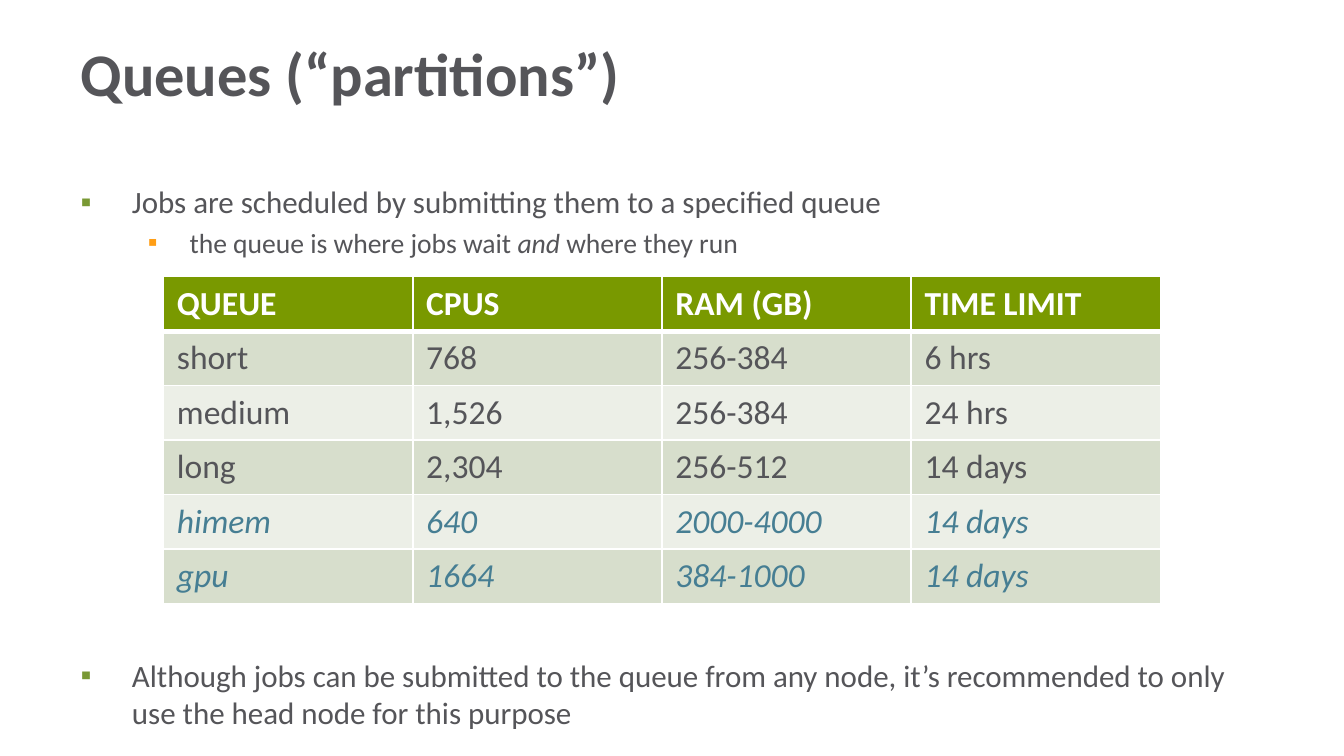
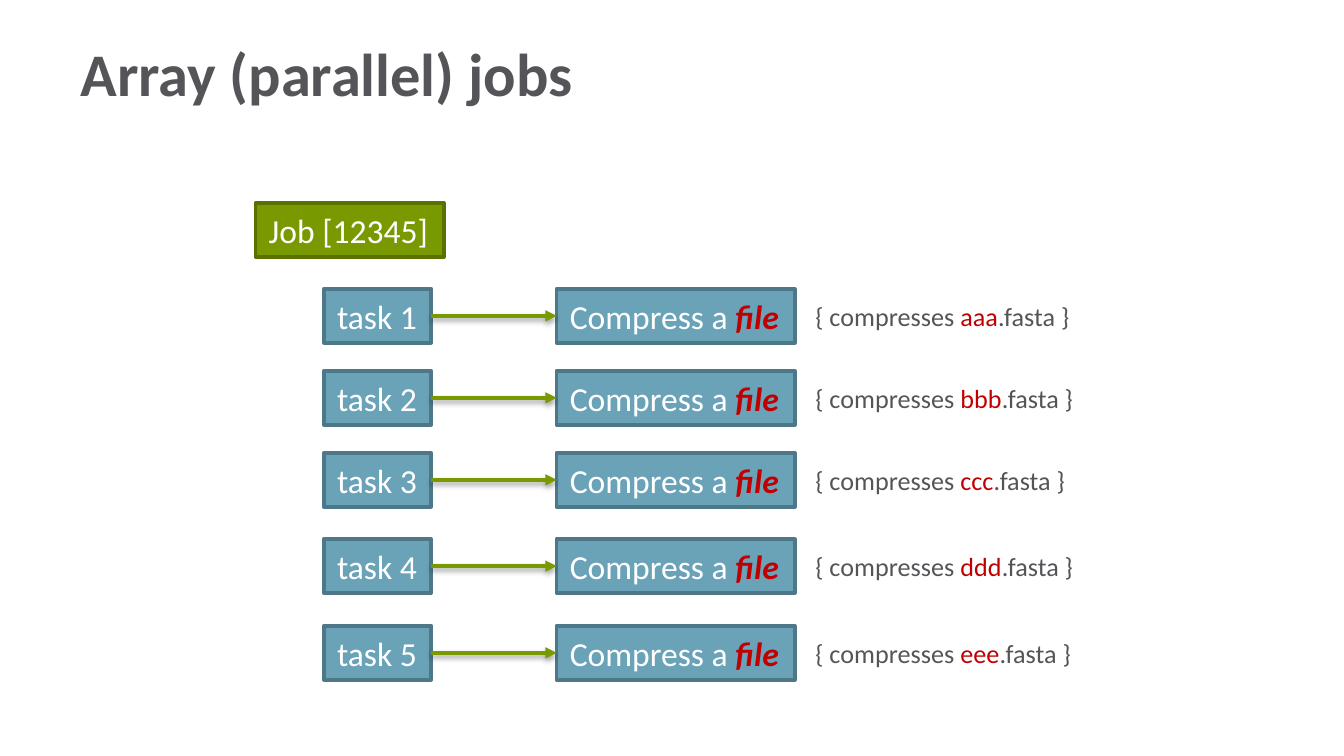
from lxml import etree
from pptx import Presentation
from pptx.dml.color import RGBColor
from pptx.enum import shapes as sh, text as tx
from pptx.oxml import ns
from pptx.util import Cm, Pt

GREY, GREEN, BLUE, RED, WHITE = "555559", "799900", "6AA2B8", "C00000", "FFFFFF"
FONT = "Calibri"
rgb = RGBColor.from_string


def write(par, parts, size, color, bold=None, ital=None):
    """Fill a paragraph; a part is text or (text, color, bold, italic)."""
    for part in parts:
        run = par.add_run()
        if isinstance(part, str):
            run.text = part
        else:
            run.text, tint, run.font.bold, run.font.italic = part
            run.font.color.rgb = rgb(tint)
    font = par.font
    font.name, font.size, font.bold, font.italic = FONT, Pt(size), bold, ital
    font.color.rgb = rgb(color)


def add_xml(node, xml):
    """Append one piece of DrawingML to a node."""
    head, rest = xml.split(" ", 1)
    node.append(etree.fromstring(f'{head} xmlns:a="{ns.nsuri("a")}" {rest}'))


prs = Presentation()
prs.slide_width, prs.slide_height = Cm(25.4), Cm(14.29)

# Slides and their titles
pages = []
for name, lay in (("Queues (“partitions”)", 1), ("Array (parallel) jobs", 5)):
    page = prs.slides.add_slide(prs.slide_layouts[lay])
    title = page.shapes.title
    title.left, title.top, title.width, title.height = Cm(1.27), Cm(0.61), Cm(20.47), Cm(1.52)
    frame = title.text_frame
    frame.auto_size = tx.MSO_AUTO_SIZE.NONE
    frame.vertical_anchor = tx.MSO_ANCHOR.MIDDLE
    par = frame.paragraphs[0]
    par.alignment = tx.PP_ALIGN.LEFT
    write(par, [name], 32.4, GREY, True)
    pages.append(page)
queues, jobs = pages

# Queues: list, with room for the table before the last point
body = queues.placeholders[1]
body.left, body.top, body.width, body.height = Cm(1.27), Cm(3.33), Cm(22.86), Cm(10.72)
frame = body.text_frame
frame.auto_size = tx.MSO_AUTO_SIZE.NONE
points = [
    (0, 3, ["Jobs are scheduled by submitting them to a specified queue"]),
    (1, 3, ["the queue is where jobs wait ", ("and", GREY, None, True), " where they run"]),
    (0, 213, ["Although jobs can be submitted to the queue from any node, "
              "it’s recommended to only use the head node for this purpose"]),
]
looks = [(16.6, "799934", 0.97, 0.97), (14.8, "FF9E15", 2.06, 0.79)]
for i, (level, gap, parts) in enumerate(points):
    par = frame.add_paragraph() if i else frame.paragraphs[0]
    size, dot, left, hang = looks[level]
    par.level, par.space_before = level, Pt(gap)
    props = par._p.get_or_add_pPr()
    props.set("marL", str(Cm(left)))
    props.set("indent", str(-Cm(hang)))
    add_xml(props, f'<a:buClr ><a:srgbClr val="{dot}"/></a:buClr>')
    add_xml(props, '<a:buFont typeface="Arial"/>')
    add_xml(props, '<a:buChar char="▪"/>')
    write(par, parts, size, GREY)

# Queues: table
rows = [
    ("QUEUE", "CPUS", "RAM (GB)", "TIME LIMIT"),
    ("short", "768", "256-384", "6 hrs"),
    ("medium", "1,526", "256-384", "24 hrs"),
    ("long", "2,304", "256-512", "14 days"),
    ("himem", "640", "2000-4000", "14 days"),
    ("gpu", "1664", "384-1000", "14 days"),
]
grid = queues.shapes.add_table(6, 4, Cm(3.09), Cm(5.23), Cm(18.84), Cm(6.18)).table
for r, row in enumerate(rows):
    grid.rows[r].height = Cm(1.03)
    for c, word in enumerate(row):
        cell = grid.cell(r, c)
        props = cell._tc.get_or_add_tcPr()
        for side in "LRTB":
            thick = 3 if (r, side) in ((0, "B"), (1, "T")) else 1
            add_xml(props, f'<a:ln{side} w="{Pt(thick)}"><a:solidFill><a:srgbClr '
                           f'val="{WHITE}"/></a:solidFill></a:ln{side}>')
        cell.fill.solid()
        cell.fill.fore_color.rgb = rgb(GREEN if r == 0 else "D7DECC" if r % 2 else "ECEFE7")
        color = WHITE if r == 0 else GREY if r < 4 else "467E93"
        write(cell.text_frame.paragraphs[0], [word], 18, color, r == 0, r > 3)

# Jobs: boxes, listed as left, top, width, fill, line, text
boxes = [(4.83, 3.84, 3.56, GREEN, "5A7100", ["Job [12345]"])]
tops = [5.46, 7.01, 8.56, 10.19, 11.83]
for n, top in enumerate(tops, 1):
    boxes += [(6.12, top, 2.03, BLUE, "4E7888", [f"task {n}"]),
              (10.52, top, 4.5, BLUE, "4E7888", ["Compress a ", ("file", RED, True, True)])]
drawn = []
for left, top, width, fill, edge, parts in boxes:
    box = jobs.shapes.add_shape(sh.MSO_SHAPE.RECTANGLE, Cm(left), Cm(top), Cm(width), Cm(1.02))
    box.shadow.inherit = False
    box.fill.solid()
    box.fill.fore_color.rgb = rgb(fill)
    box.line.color.rgb = rgb(edge)
    box.line.width = Pt(2)
    box.text_frame.word_wrap = False
    par = box.text_frame.paragraphs[0]
    par.alignment = tx.PP_ALIGN.LEFT
    write(par, parts, 18, WHITE)
    drawn.append(box)

# Jobs: arrows from task to action
for task, act in zip(drawn[1::2], drawn[2::2]):
    arrow = jobs.shapes.add_connector(sh.MSO_CONNECTOR.STRAIGHT, 0, 0, 0, 0)
    arrow.begin_connect(task, 3)
    arrow.end_connect(act, 1)
    arrow.line.color.rgb = rgb(GREEN)
    arrow.line.width = Pt(2)
    add_xml(arrow.line._get_or_add_ln(), '<a:tailEnd type="triangle"/>')
    add_xml(arrow._element.spPr,
            f'<a:effectLst ><a:outerShdw blurRad="{Pt(3.1)}" dist="{Pt(1.6)}" dir="5400000">'
            '<a:srgbClr val="000000"><a:alpha val="38000"/></a:srgbClr>'
            '</a:outerShdw></a:effectLst>')

# Jobs: notes beside the actions
for top, letter in zip(tops, "abcde"):
    note = jobs.shapes.add_textbox(Cm(15.16), Cm(top + 0.09), Cm(5.4), Cm(0.86))
    note.text_frame.word_wrap = True
    write(note.text_frame.paragraphs[0],
          ["{ compresses ", (letter * 3, RED, None, None), ".fasta }"], 14, GREY)

prs.save("out.pptx")
